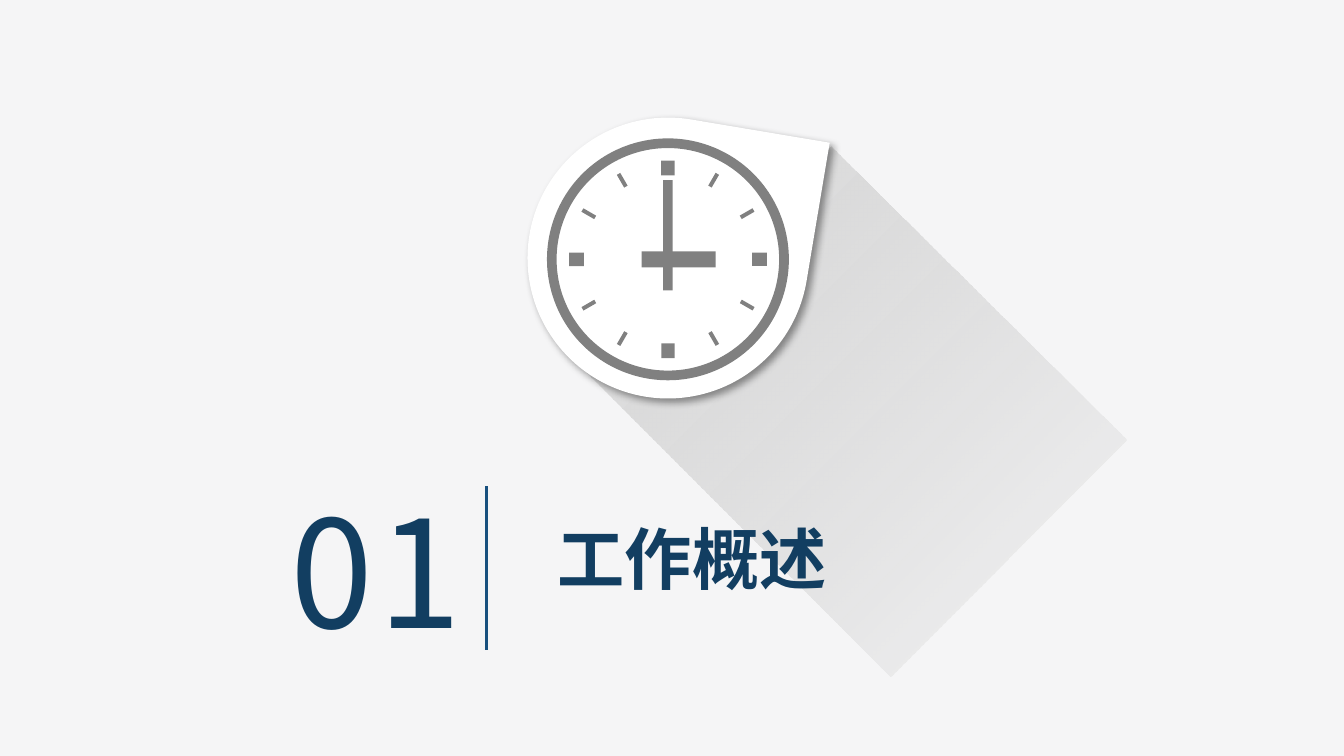
"""Build a section title slide with a clock badge and its long shadow."""
import math

from lxml import etree
from pptx import Presentation
from pptx.dml.color import RGBColor
from pptx.enum.shapes import MSO_CONNECTOR, MSO_SHAPE
from pptx.enum.text import MSO_ANCHOR, MSO_AUTO_SIZE, PP_ALIGN
from pptx.oxml.ns import qn
from pptx.util import Inches, Pt

RECTANGLE, DONUT, TEARDROP = MSO_SHAPE.RECTANGLE, MSO_SHAPE.DONUT, MSO_SHAPE.TEAR
STRAIGHT = MSO_CONNECTOR.STRAIGHT
TOP, MIDDLE = MSO_ANCHOR.TOP, MSO_ANCHOR.MIDDLE
LEFT = PP_ALIGN.LEFT
FIT_SHAPE = MSO_AUTO_SIZE.SHAPE_TO_FIT_TEXT

NUMBER, TITLE = "01", "工作概述"
FONT = "Noto Sans CJK SC"
COLORS = {
    "background": "F5F5F6", "badge": "FFFFFF", "clock": "808080",
    "text": "123E61", "divider": "18507E", "black": "000000",
    "shade_start": "D9D9D9", "shade_end": "BFBFBF",
}
CLOCK_CENTER = (4.97, 1.93)
MARK_RADIUS = 0.68
QUARTER_MARK, HOUR_MARK = (0.1, 0.11), (0.03, 0.11)
HANDS = [((4.97, 1.75), (0.07, 0.82)), ((5.05, 1.93), (0.55, 0.12))]
LONG_SHADOW = [(4.24, 2.64), (6.19, 1.09), (8.39, 3.27), (6.63, 5.03)]
SHADOW_CENTER, SHADOW_ROTATION = (6.31, 2.95), -45


def color(name):
    return RGBColor.from_string(COLORS[name])


def add_centered(shapes, kind, center, size, fill, rotation=0):
    (x, y), (width, height) = center, size
    shape = shapes.add_shape(kind, Inches(x - width / 2), Inches(y - height / 2),
                             Inches(width), Inches(height))
    shape.rotation = rotation
    shape.shadow.inherit = False
    shape.fill.solid()
    shape.fill.fore_color.rgb = color(fill)
    shape.line.fill.background()
    return shape


def add_long_shadow(shapes):
    angle = math.radians(-SHADOW_ROTATION)
    center_x, center_y = SHADOW_CENTER
    points = []
    for x, y in LONG_SHADOW:
        dx, dy = x - center_x, y - center_y
        points.append((Inches(center_x + dx * math.cos(angle) - dy * math.sin(angle)),
                       Inches(center_y + dx * math.sin(angle) + dy * math.cos(angle))))
    builder = shapes.build_freeform(*points[0])
    builder.add_line_segments(points[1:], close=True)
    shape = builder.convert_to_shape()
    shape.rotation = SHADOW_ROTATION
    shape.shadow.inherit = False
    shape.line.fill.background()
    shape.fill.gradient()
    shape.fill.gradient_angle = 270
    first, last = shape.fill.gradient_stops
    first.position, last.position = 0, 1
    first.color.rgb, last.color.rgb = color("shade_start"), color("shade_end")
    end_color = shape._element.spPr.findall(".//" + qn("a:srgbClr"))[-1]
    etree.SubElement(end_color, qn("a:alpha"), val="0")


def add_badge(shapes):
    badge = add_centered(shapes, TEARDROP, (4.97, 1.92), (2.09, 2.09), "badge", 9.5)
    effects = badge._element.spPr.find(qn("a:effectLst"))
    shadow = etree.SubElement(effects, qn("a:outerShdw"), blurRad=str(Pt(4)),
                              dist=str(Pt(3)), dir="2700000", algn="tl", rotWithShape="0")
    black = etree.SubElement(shadow, qn("a:srgbClr"), val=COLORS["black"])
    etree.SubElement(black, qn("a:alpha"), val="40000")


def add_clock(shapes):
    clock = shapes.add_group_shape().shapes
    ring = add_centered(clock, DONUT, CLOCK_CENTER, (1.8, 1.8), "clock")
    ring.adjustments[0] = 0.04
    for hour in range(12):
        angle = math.radians(hour * 30)
        center = (CLOCK_CENTER[0] + MARK_RADIUS * math.sin(angle),
                  CLOCK_CENTER[1] - MARK_RADIUS * math.cos(angle))
        size = HOUR_MARK if hour % 3 else QUARTER_MARK
        add_centered(clock, RECTANGLE, center, size, "clock", hour * 30)
    for center, size in HANDS:
        add_centered(clock, RECTANGLE, center, size, "clock")


def set_text(shape, text, size, bold, anchor):
    frame = shape.text_frame
    frame.vertical_anchor = anchor
    paragraph = frame.paragraphs[0]
    paragraph.alignment = LEFT
    run = paragraph.add_run()
    run.text = text
    font = run.font
    font.name, font.size, font.bold = FONT, Pt(size), bold
    font.color.rgb = color("text")
    properties = run._r.get_or_add_rPr()
    etree.SubElement(properties, qn("a:ea"), typeface=FONT)
    return properties


def main():
    presentation = Presentation()
    presentation.slide_width, presentation.slide_height = Inches(10), Inches(10 * 9 / 16)
    slide = presentation.slides.add_slide(presentation.slide_layouts[5])
    slide.background.fill.solid()
    slide.background.fill.fore_color.rgb = color("background")
    shapes = slide.shapes

    add_long_shadow(shapes)
    add_badge(shapes)
    add_clock(shapes)

    number = shapes.add_textbox(Inches(2.09), Inches(3.6), Inches(1.56), Inches(1.26))
    frame = number.text_frame
    frame.word_wrap = True
    frame.margin_left = frame.margin_right = Inches(0.07)
    frame.margin_top = frame.margin_bottom = Inches(0.04)
    set_text(number, NUMBER, 80, False, MIDDLE).set("spc", "300")

    title = shapes.title
    title.left, title.top = Inches(4.05), Inches(3.8)
    title.width, title.height = Inches(2.2), Inches(0.71)
    title.text_frame.word_wrap = False
    title.text_frame.auto_size = FIT_SHAPE
    title.text_frame.margin_right = 0
    set_text(title, TITLE, 36, True, TOP)
    number._element.addnext(title._element)

    divider = shapes.add_connector(STRAIGHT, Inches(3.62), Inches(3.62),
                                   Inches(3.62), Inches(4.84))
    divider.line.color.rgb = color("divider")
    divider.line.width = Pt(1.5)
    etree.SubElement(divider._element.spPr, qn("a:effectLst"))

    presentation.save("out.pptx")


if __name__ == "__main__":
    main()
